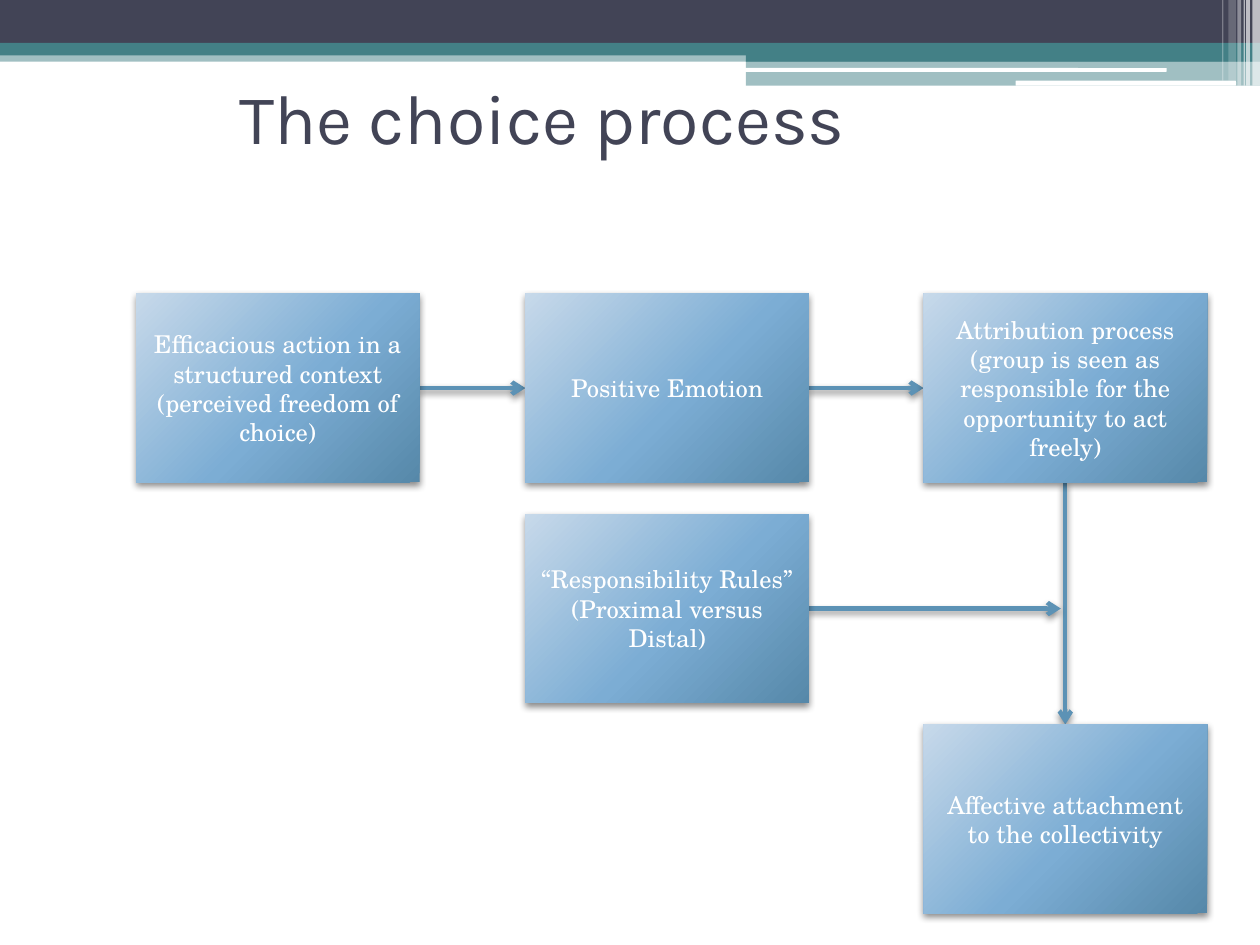
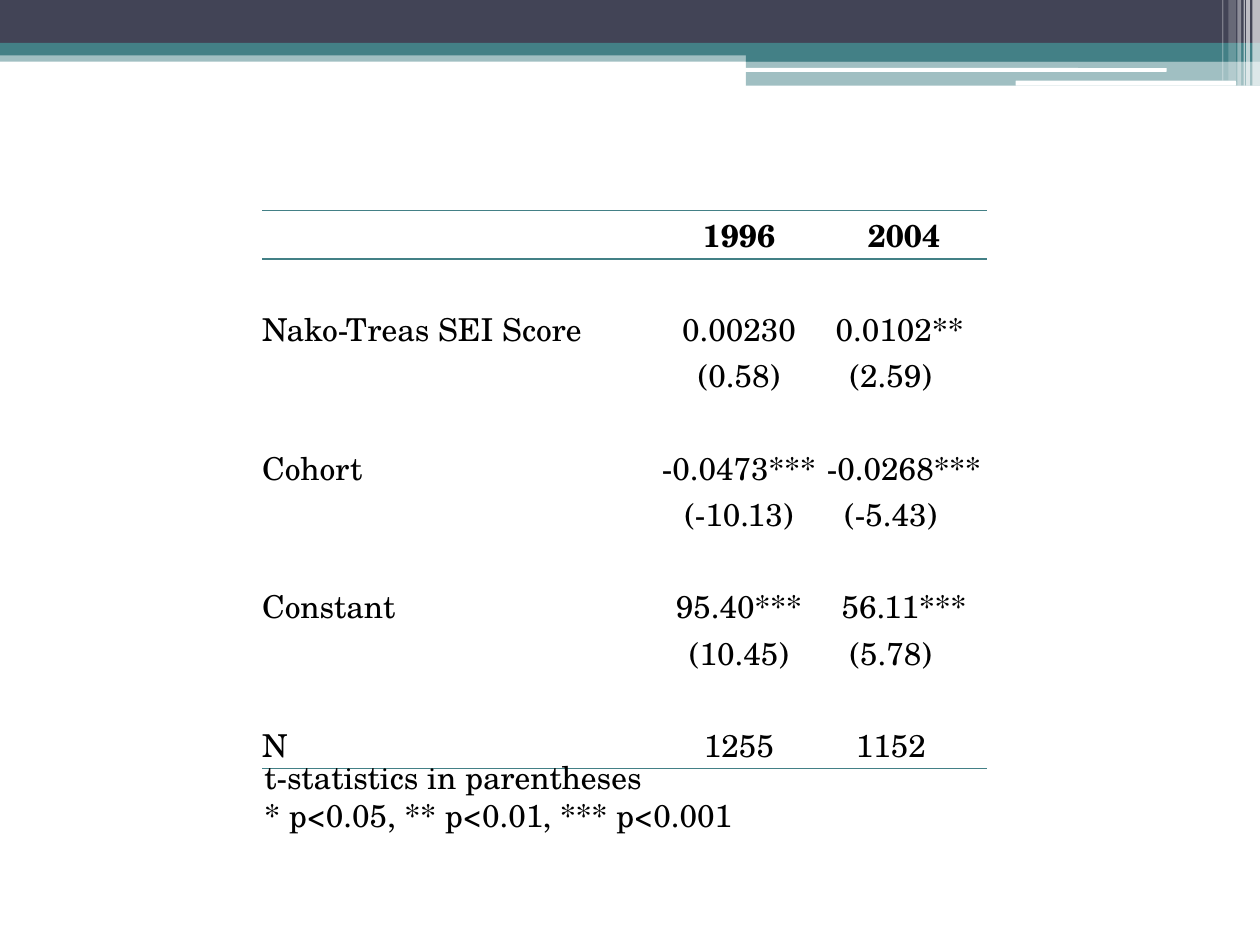
from lxml.etree import SubElement
from pptx import Presentation
from pptx.dml.color import RGBColor
from pptx.enum.shapes import MSO_CONNECTOR, MSO_SHAPE
from pptx.enum.text import MSO_ANCHOR, PP_ALIGN
from pptx.oxml import parse_xml
from pptx.oxml.ns import nsdecls, qn
from pptx.util import Inches, Pt

# Shared look
NAVY = RGBColor(0x42, 0x44, 0x56)
TEAL = RGBColor(0x43, 0x80, 0x86)
BLUE = RGBColor(0x5C, 0x92, 0xB5)
WHITE = RGBColor(0xFF, 0xFF, 0xFF)
BLACK = RGBColor(0x00, 0x00, 0x00)
HEAD_FONT, BODY_FONT = "Karla", "TeX Gyre Schola"
GRADIENT = [(0, "C7D9EA"), (55, "7CADD4"), (100, "5688A9")]
NO_GRID_STYLE = "{2D5ABB26-0587-4C30-8999-92F81FD0307C}"

# Header bands: left, top, width, height, colour, opacity in percent
BANDS = [
    (0, 0.4, 10, 0.09, TEAL, 50),
    (0, 0, 10, 0.34, NAVY, 100),
    (0, 0.34, 10, 0.1, TEAL, 100),
    (5.92, 0.39, 4.08, 0.1, TEAL, 100),
    (5.92, 0.48, 4.08, 0.2, TEAL, 50),
]
ROUNDED_BARS = [
    (5.91, 0.54, 3.35, 0.03, WHITE, 100),
    (8.06, 0.64, 1.75, 0.04, WHITE, 100),
]
# Corner stripes: left, width, height, opacity
STRIPES = [
    (9.94, 0.06, 0.68, 65), (9.89, 0.03, 0.68, 65), (9.87, 0.01, 0.68, 60),
    (9.82, 0.03, 0.68, 40), (9.75, 0.06, 0.64, 20), (9.7, 0.01, 0.64, 30),
]

# Choice process: box name -> (column, row, paragraphs)
TITLE = "The choice process"
COL_X, ROW_Y = (1.08, 4.17, 7.33), (2.33, 4.08, 5.75)
BOX_W, BOX_H = 2.25, 1.5
BOXES = {
    "action": (0, 0, ["Efficacious action in a structured context",
                      "(perceived freedom of choice)"]),
    "emotion": (1, 0, ["Positive Emotion"]),
    "attribution": (2, 0, ["Attribution process",
                           "(group is seen as responsible for the opportunity to act freely)"]),
    "rules": (1, 1, ["“Responsibility Rules”", "(Proximal versus Distal)"]),
    "attachment": (2, 2, ["Affective attachment to the collectivity"]),
}
ACROSS = [("action", "emotion"), ("emotion", "attribution")]
RULES_ARROW_END = 8.42

# Regression table: each predictor has estimates above t-statistics
YEARS = ["1996", "2004"]
MODEL = [
    ("Nako-Treas SEI Score", ["0.00230", "0.0102**"], ["(0.58)", "(2.59)"]),
    ("Cohort", ["-0.0473***", "-0.0268***"], ["(-10.13)", "(-5.43)"]),
    ("Constant", ["95.40***", "56.11***"], ["(10.45)", "(5.78)"]),
]
SAMPLE = ["N", "1255", "1152"]
NOTES = ["t-statistics in parentheses", "* p<0.05, ** p<0.01, *** p<0.001"]
TABLE_X, TABLE_Y, TABLE_H = 2.08, 1.67, 4.4
COL_W, HEADER_H = (3.13, 1.31, 1.31), 0.38


def write(tf, lines, size, color, font=BODY_FONT, align=PP_ALIGN.LEFT, bold=False):
    tf.word_wrap = True
    for i, line in enumerate(lines):
        p = tf.paragraphs[0] if i == 0 else tf.add_paragraph()
        p.text, p.alignment = line, align
        f = p.font
        f.size, f.name, f.bold, f.color.rgb = Pt(size), font, bold, color


def add_text(slide, x, y, w, h, lines, size, color, font=BODY_FONT, anchor=MSO_ANCHOR.TOP):
    tf = slide.shapes.add_textbox(Inches(x), Inches(y), Inches(w), Inches(h)).text_frame
    tf.vertical_anchor = anchor
    write(tf, lines, size, color, font)


def add_bar(slide, x, y, w, h, color, opacity, kind=MSO_SHAPE.RECTANGLE):
    s = slide.shapes.add_shape(kind, Inches(x), Inches(y), Inches(w), Inches(h))
    s.shadow.inherit = False
    s.line.fill.background()
    s.fill.solid()
    s.fill.fore_color.rgb = color
    if opacity < 100:
        clr = s._element.spPr.find(qn("a:solidFill"))[0]
        SubElement(clr, qn("a:alpha"), val=str(opacity * 1000))


def new_slide(prs):
    slide = prs.slides.add_slide(prs.slide_layouts[6])
    for band in BANDS:
        add_bar(slide, *band)
    for bar in ROUNDED_BARS:
        add_bar(slide, *bar, kind=MSO_SHAPE.ROUNDED_RECTANGLE)
    for x, w, h, opacity in STRIPES:
        add_bar(slide, x, 0, w, h, WHITE, opacity)
    return slide


def add_shadow(s):
    s._element.spPr.append(parse_xml(
        f'<a:effectLst {nsdecls("a")}><a:outerShdw blurRad="{Pt(4)}" dist="{Pt(2)}" '
        'dir="5400000" rotWithShape="0"><a:srgbClr val="000000"><a:alpha val="45000"/>'
        '</a:srgbClr></a:outerShdw></a:effectLst>'))


def add_box(slide, col, row, lines):
    s = slide.shapes.add_shape(MSO_SHAPE.RECTANGLE, Inches(COL_X[col]), Inches(ROW_Y[row]),
                               Inches(BOX_W), Inches(BOX_H))
    s.line.fill.background()
    stops = "".join(f'<a:gs pos="{pos * 1000}"><a:srgbClr val="{c}"/></a:gs>'
                    for pos, c in GRADIENT)
    s._element.spPr.find(qn("a:prstGeom")).addnext(parse_xml(
        f'<a:gradFill {nsdecls("a")} rotWithShape="1"><a:gsLst>{stops}</a:gsLst>'
        '<a:path path="circle"><a:fillToRect l="-40000" t="-90000" r="140000" b="190000"/>'
        '</a:path></a:gradFill>'))
    add_shadow(s)
    s.text_frame.vertical_anchor = MSO_ANCHOR.MIDDLE
    write(s.text_frame, lines, 14, WHITE, align=PP_ALIGN.CENTER)


def add_arrow(slide, x1, y1, x2, y2):
    c = slide.shapes.add_connector(MSO_CONNECTOR.STRAIGHT, Inches(x1), Inches(y1),
                                   Inches(x2), Inches(y2))
    c.line.color.rgb, c.line.width = BLUE, Pt(2.5)
    SubElement(c.line._get_or_add_ln(), qn("a:tailEnd"), type="arrow")
    add_shadow(c)


def build_process(prs):
    slide = new_slide(prs)
    add_text(slide, 1.8, 0.3, 8.2, 1.25, [TITLE], 40, NAVY, HEAD_FONT, MSO_ANCHOR.MIDDLE)

    # Arrows run from box edge to box edge
    corner = {name: (COL_X[c], ROW_Y[r]) for name, (c, r, _) in BOXES.items()}
    for start, end in ACROSS:
        x, y = corner[start]
        add_arrow(slide, x + BOX_W, y + BOX_H / 2, corner[end][0], y + BOX_H / 2)
    x, y = corner["attribution"]
    add_arrow(slide, x + BOX_W / 2, y + BOX_H, x + BOX_W / 2, corner["attachment"][1])
    x, y = corner["rules"]
    add_arrow(slide, x + BOX_W, y + BOX_H / 2, RULES_ARROW_END, y + BOX_H / 2)

    for box in BOXES.values():
        add_box(slide, *box)


def add_rule(cell, edge):
    cell._tc.get_or_add_tcPr().insert(0, parse_xml(
        f'<a:{edge} {nsdecls("a")} w="{Pt(1)}"><a:solidFill><a:srgbClr val="{TEAL}"/>'
        f'</a:solidFill></a:{edge}>'))


def right_inset(col, text):
    """Shift the 2004 figures left so that they line up without their stars."""
    if col < 2 or text in YEARS or text.endswith("***"):
        return 0
    return 0.07 if text.endswith("**") else 0.21


def build_results(prs):
    slide = new_slide(prs)
    blank = [""] * 3
    rows = [["", *YEARS], blank]
    for name, estimates, t_stats in MODEL:
        rows += [[name, *estimates], ["", *t_stats], blank]
    rows.append(SAMPLE)
    last = len(rows) - 1

    table = slide.shapes.add_table(len(rows), len(COL_W), Inches(TABLE_X), Inches(TABLE_Y),
                                   Inches(sum(COL_W)), Inches(TABLE_H)).table
    table.first_row = table.horz_banding = False
    table._tbl.tblPr.find(qn("a:tableStyleId")).text = NO_GRID_STYLE
    for col, w in zip(table.columns, COL_W):
        col.width = Inches(w)
    for i, values in enumerate(rows):
        table.rows[i].height = Inches((TABLE_H - HEADER_H) / last if i else HEADER_H)
        for j, text in enumerate(values):
            cell = table.cell(i, j)
            cell.fill.background()
            cell.vertical_anchor = MSO_ANCHOR.BOTTOM
            cell.margin_left = cell.margin_top = cell.margin_bottom = 0
            cell.margin_right = Inches(right_inset(j, text))
            write(cell.text_frame, [text], 18, BLACK, bold=i == 0,
                  align=PP_ALIGN.CENTER if j else PP_ALIGN.LEFT)
            if i in (0, last):
                add_rule(cell, "lnB")
            if i == 0:
                add_rule(cell, "lnT")

    add_text(slide, 2, 5.97, 4.83, 1, NOTES, 18, BLACK)


def main():
    prs = Presentation()
    prs.slide_width, prs.slide_height = Inches(10), Inches(7.5)
    build_process(prs)
    build_results(prs)
    prs.save("out.pptx")


if __name__ == "__main__":
    main()
